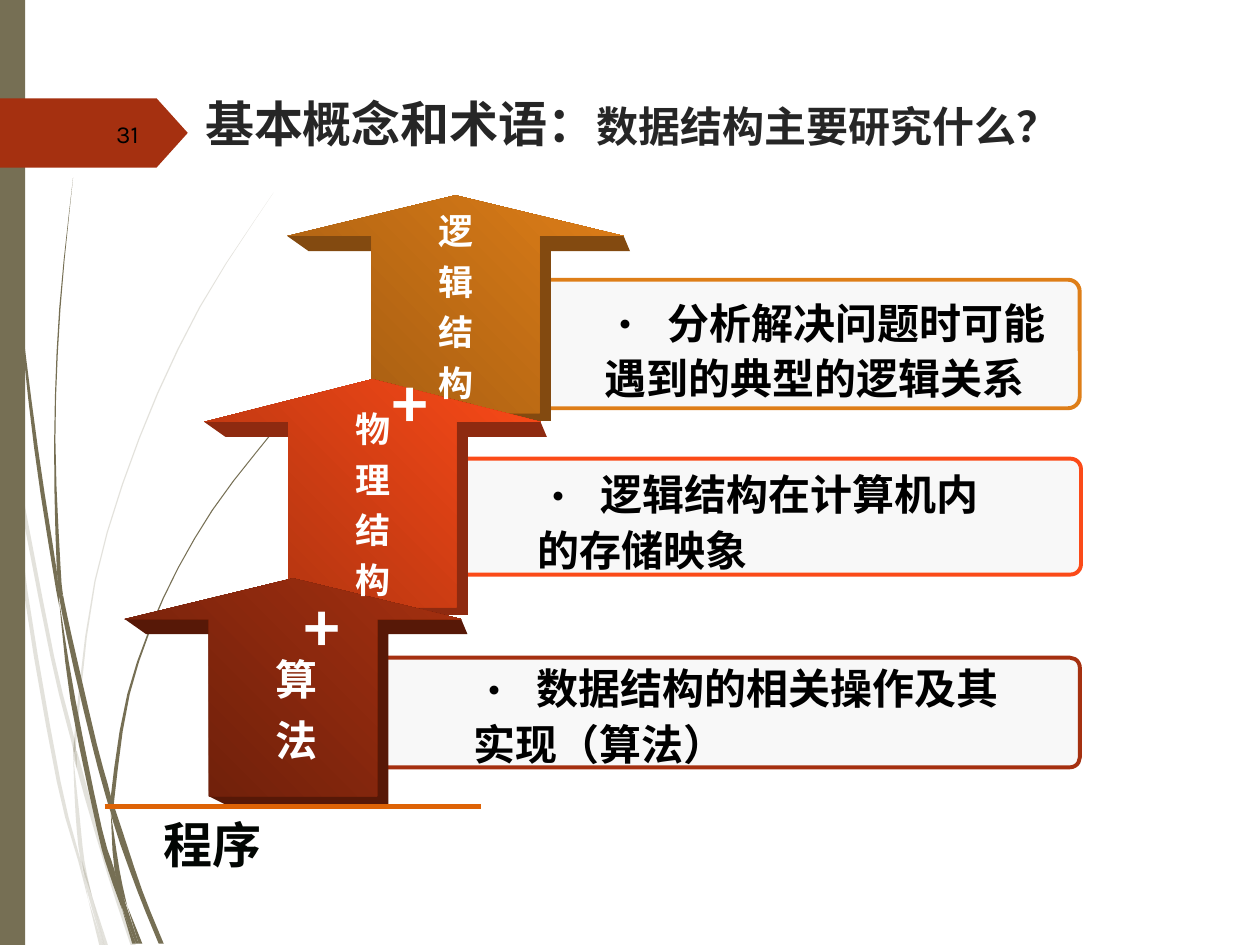
from dataclasses import dataclass

from pptx import Presentation
from pptx.dml.color import RGBColor
from pptx.enum.shapes import MSO_CONNECTOR as Connector, MSO_SHAPE as Shape
from pptx.enum.text import MSO_ANCHOR as Anchor, PP_ALIGN as Align
from pptx.oxml.ns import qn
from pptx.util import Inches, Pt
from lxml.etree import SubElement

# The slide is a grid of 100 columns by 75 rows of square cells.
COLUMNS, ROWS = 100, 75
CELL = Inches(10) // COLUMNS


@dataclass(frozen=True)
class Theme:
    olive: str = "766F54"
    rust: str = "A53010"
    panel: str = "F8F8F8"
    base_line: str = "DE6306"
    title: str = "262626"
    black: str = "000000"
    white: str = "FFFFFF"
    program: str = "020603"
    number_font: str = "Karla"
    title_font: str = "Quicksand"
    body_font: str = "Noto Sans CJK SC"
    small: int = 14
    label: int = 20
    body: int = 24
    heading: int = 28
    plus: int = 36


THEME = Theme()

# Each step: arrow box, dark and light arrow colours, side colour, panel box
STEPS = [
    ((22.8, 15.5, 26.7, 17.3), "A05A11", "DE7E18", "834A10", (31.1, 22.2, 54.6, 10.2)),
    ((16.2, 30.1, 26.7, 18.1), "A8320F", "FB4A18", "8E2A10", (31.2, 36.4, 54.6, 9.2)),
    ((9.9, 45.9, 26.7, 17.3), "681E0A", "A53010", "571807", (23.8, 52.2, 61.9, 8.7)),
]
BULLETS = [
    ("数据结构的相关操作及其实现（算法）", (36.6, 51.7, 44, 9.9)),
    ("分析解决问题时可能遇到的典型的逻辑关系", (47, 22.7, 37.9, 16.4)),
    ("逻辑结构在计算机内的存储映象", (41.7, 36.3, 39.8, 9.9)),
]
ARROW_LABELS = [
    ("算法", (20.9, 50.6, 4.1, 10.7), THEME.body),
    ("物理结构", (27.2, 31.2, 4.7, 17.2), THEME.label),
    ("逻辑结构", (33.8, 15.5, 4.7, 17.2), THEME.label),
]
PLUS_BOXES = [(20.9, 45.1, 7.1, 7.8), (27.9, 27.3, 7.1, 7.8)]

# Grass blades as stations from top to bottom: row, left column, right column
PALE_BLADES = [
    [(28.2, 0, 0), (29.9, 0, 0.2), (35, 0.8, 0.8)],
    [(34.5, 1, 1), (37.6, 1.2, 1.5), (52.1, 4, 4.3), (58.6, 5.6, 5.9), (59.9, 5.9, 5.9)],
    [(59.6, 6.1, 6.1), (61, 6.1, 6.5), (69.3, 8.5, 8.8), (75.1, 10.4, 10.8)],
    [(71.1, 7.3, 7.3), (75.1, 8.3, 8.6)],
    [(35, 0.8, 0.8), (47, 1.9, 2.2), (62, 4.5, 4.8), (68.3, 6.2, 6.4), (71.4, 7, 7)],
    [(59.9, 5.8, 5.8), (64.6, 6, 6.3), (68.3, 6.4, 6.7), (71.1, 7.3, 7.3)],
    [(15.3, 21.7, 21.7), (24.4, 15.8, 15.9), (34.8, 11, 11.1), (46.1, 7.5, 7.6),
     (58.4, 5.9, 6.1), (59.6, 6.1, 6.1)],
    [(71.4, 7, 7), (75.1, 7.9, 8.2)],
    [(58.6, 5.9, 5.9), (59.9, 5.8, 6.1), (61, 6.1, 6.1)],
    [(68.3, 6.5, 6.5), (70.7, 6.9, 7.2), (75.1, 8.2, 8.3)],
]
DARK_BLADES = [
    [(0, 0.2, 0.3), (11, 0.5, 0.6), (23.3, 1.4, 1.5), (35.5, 2.7, 3),
     (45.3, 4.2, 4.5), (48.1, 4.7, 4.7)],
    [(47.2, 5, 5), (50.5, 5.3, 5.7), (59.1, 7.3, 7.7), (63.2, 8.4, 8.8), (64.5, 8.8, 8.8)],
    [(64.1, 9.1, 9.1), (65.6, 9.1, 9.6), (70.7, 10.9, 11.3), (74.9, 12.6, 13)],
    [(47.7, 4.7, 4.7), (55.6, 5.6, 6), (65.8, 7.7, 8.1), (69.1, 8.6, 9.1), (72.2, 9.7, 9.7)],
    [(14.1, 5.8, 5.8), (24.5, 4.7, 4.8), (34.9, 4.3, 4.4), (44.9, 4.5, 4.8), (47.2, 4.9, 5)],
    [(71.9, 10.1, 10.1), (74.9, 11, 11.3)],
    [(44.9, 4.5, 4.5), (47.4, 4.7, 5), (50.5, 5.3, 5.3)],
    [(34.4, 21.5, 21.6), (40.5, 16.8, 16.9), (47.5, 12.9, 13), (55.1, 10.1, 10.3),
     (63.2, 8.8, 9.1), (64.1, 9.1, 9.1)],
    [(72.2, 9.7, 9.7), (74.9, 10.5, 10.8)],
    [(64.5, 8.8, 8.8), (69.1, 9.1, 9.5), (71.9, 10.1, 10.1)],
    [(63.1, 8.8, 8.8), (64.5, 8.8, 9.1), (65.6, 9.1, 9.1)],
    [(69.1, 9.1, 9.1), (71.8, 9.6, 10), (74.9, 10.8, 11)],
]


def cells(*lengths):
    return [round(length * CELL) for length in lengths]


def rgb(color):
    return RGBColor.from_string(color)


def paint(shape, fill, line=None, line_width=2.25):
    shape.shadow.inherit = False
    shape.fill.solid()
    shape.fill.fore_color.rgb = rgb(fill)
    if line:
        shape.line.color.rgb = rgb(line)
        shape.line.width = Pt(line_width)
    else:
        shape.line.fill.background()


def add_polygon(slide, points, fill):
    corners = [cells(*point) for point in points]
    builder = slide.shapes.build_freeform(*corners[0], scale=1.0)
    builder.add_line_segments(corners[1:], close=True)
    shape = builder.convert_to_shape()
    paint(shape, fill)
    return shape


def smooth(points, steps=3):
    """Return points on a Catmull-Rom curve through the given points."""
    padded = [points[0], *points, points[-1]]
    curve = [points[0]]
    for a, b, c, d in zip(padded, padded[1:], padded[2:], padded[3:]):
        for t in (step / steps for step in range(1, steps + 1)):
            curve.append(tuple(
                q + t * (r - p) / 2 + t**2 * (2*p - 5*q + 4*r - s) / 2
                + t**3 * (3*q - p - 3*r + s) / 2
                for p, q, r, s in zip(a, b, c, d)))
    return curve


def add_blade(slide, stations, opacity=100):
    curve = smooth(stations)
    outline = [(left, y) for y, left, _ in curve]
    outline += [(right, y) for y, _, right in reversed(curve)]
    shape = add_polygon(slide, outline, THEME.olive)
    if opacity < 100:
        color = shape.fill._xPr.find(qn("a:solidFill"))[0]
        SubElement(color, qn("a:alpha"), val=str(opacity * 1000))


def add_block(slide, kind, box, fill, line=None, adjustment=None):
    shape = slide.shapes.add_shape(kind, *cells(*box))
    if adjustment is not None:
        shape.adjustments[0] = adjustment
    paint(shape, fill, line)


def add_arrow(slide, box, dark, light, side):
    """Add an up arrow with a darker side showing at its lower right."""
    left, top, width, height = box
    head = 0.187
    shoulder = top + head * min(width, height)
    right, bottom = left + width, top + height
    stem_left, stem_right = left + width / 4, right - width / 4
    depth = 1.2
    add_polygon(slide, [
        (left, shoulder), (left + 1.7, shoulder + depth),
        (stem_left, shoulder + depth), (stem_left, bottom),
        (stem_left + depth, bottom + depth / 2), (stem_right + 0.9, bottom + depth / 2),
        (stem_right + 0.9, shoulder + depth), (right + 0.5, shoulder + depth),
        (right, shoulder)], side)
    arrow = slide.shapes.add_shape(Shape.UP_ARROW, *cells(*box))
    arrow.adjustments[0], arrow.adjustments[1] = 0.5, head
    paint(arrow, dark)
    arrow.fill.gradient()
    arrow.fill.gradient_angle = 45
    for stop, color, position in zip(arrow.fill.gradient_stops, (dark, light), (0, 1)):
        stop.color.rgb = rgb(color)
        stop.position = position


def add_text(slide, text, box, size, color, font=THEME.body_font, bold=True,
             align=Align.LEFT, spacing=1.2, anchor=Anchor.TOP, bullet=False):
    frame = slide.shapes.add_textbox(*cells(*box)).text_frame
    frame.word_wrap = True
    frame.vertical_anchor = anchor
    paragraph = frame.paragraphs[0]
    paragraph.alignment = align
    paragraph.line_spacing = spacing
    paragraph.text = text
    if bullet:
        paragraph.text = "\t" + text
        properties = paragraph._p.get_or_add_pPr()
        properties.set("marL", "0")
        properties.set("indent", "0")
        SubElement(properties, qn("a:buFont"), typeface=font)
        SubElement(properties, qn("a:buChar"), char="•")
        tabs = SubElement(properties, qn("a:tabLst"))
        SubElement(tabs, qn("a:tab"), pos=str(cells(2.7)[0]), algn="l")
    paragraph.font.name, paragraph.font.bold = font, bold
    paragraph.font.size, paragraph.font.color.rgb = Pt(size), rgb(color)
    return paragraph


def add_title(slide):
    paragraph = add_text(slide, "基本概念和术语：", (15.3, 5, 76.4, 9.5), THEME.heading,
                         THEME.title, THEME.title_font, spacing=1.0, anchor=Anchor.MIDDLE)
    topic = paragraph.add_run()
    topic.text = "数据结构主要研究什么？"
    topic.font.size = Pt(THEME.body)


def add_base_line(slide):
    line = slide.shapes.add_connector(Connector.STRAIGHT, *cells(8.3, 64, 38.2, 64))
    line.line.color.rgb = rgb(THEME.base_line)
    line.line.width = Pt(3)
    SubElement(line._element.spPr, qn("a:effectLst"))


def main():
    presentation = Presentation()
    presentation.slide_width, presentation.slide_height = cells(COLUMNS, ROWS)
    slide = presentation.slides.add_slide(presentation.slide_layouts[6])

    for blades, opacity in ((PALE_BLADES, 20), (DARK_BLADES, 100)):
        for stations in blades:
            add_blade(slide, stations, opacity)
    add_block(slide, Shape.RECTANGLE, (0, 0, 2, ROWS), THEME.olive)
    add_block(slide, Shape.PENTAGON, (0, 7.8, 14.9, 5.5), THEME.rust, adjustment=0.45)
    add_text(slide, "31", (5.6, 8.6, 6.4, 4), THEME.small, THEME.black, THEME.number_font,
             bold=False, align=Align.RIGHT, spacing=1.0, anchor=Anchor.MIDDLE)
    add_title(slide)

    for _, _, light, _, panel in STEPS:
        add_block(slide, Shape.ROUNDED_RECTANGLE, panel, THEME.panel, light, 0.09)
    for box, dark, light, side, _ in STEPS:
        add_arrow(slide, box, dark, light, side)
    for text, box in BULLETS:
        add_text(slide, text, box, THEME.body, THEME.black, spacing=1.1, bullet=True)
    for text, box, size in ARROW_LABELS:
        add_text(slide, text, box, size, THEME.white)
    for box in PLUS_BOXES:
        add_text(slide, "+", box, THEME.plus, THEME.white, align=Align.RIGHT)
    add_base_line(slide)
    add_text(slide, "程序", (12, 63.2, 17.3, 6.3), THEME.heading, THEME.program)
    presentation.save("out.pptx")


if __name__ == "__main__":
    main()
